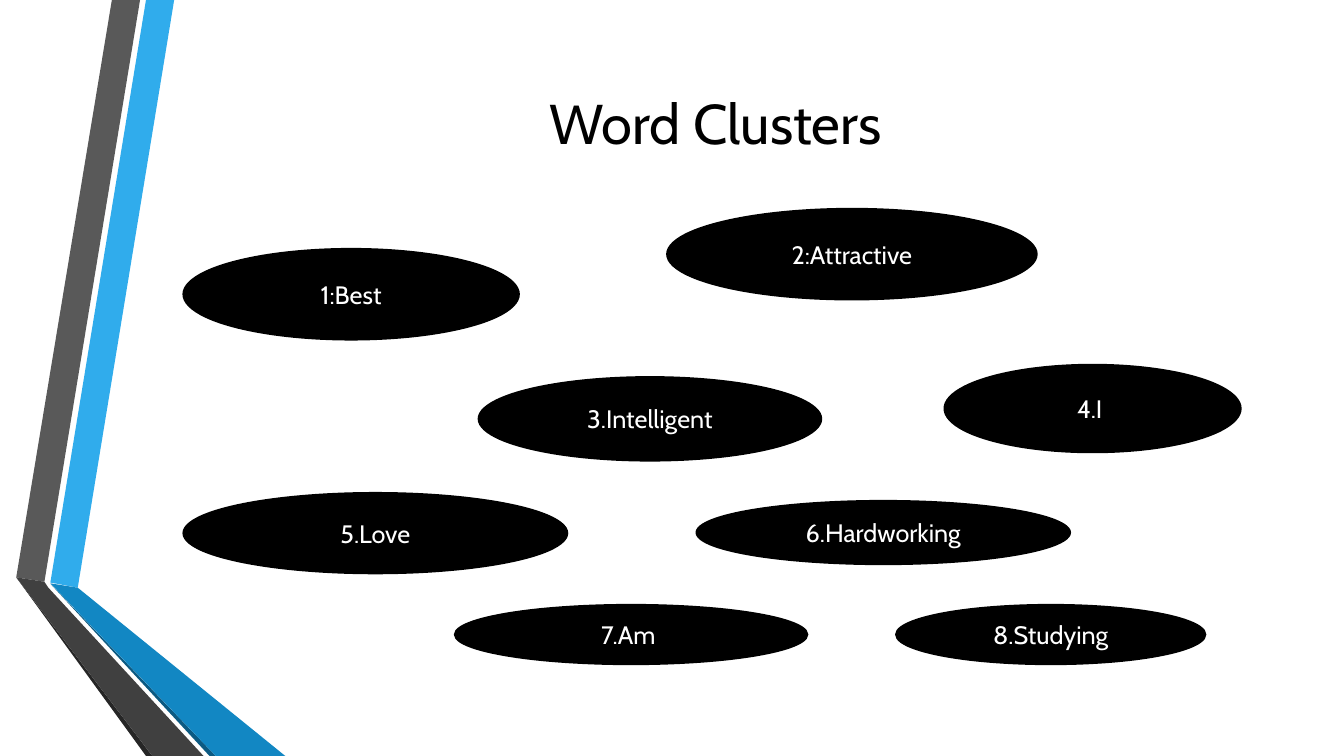
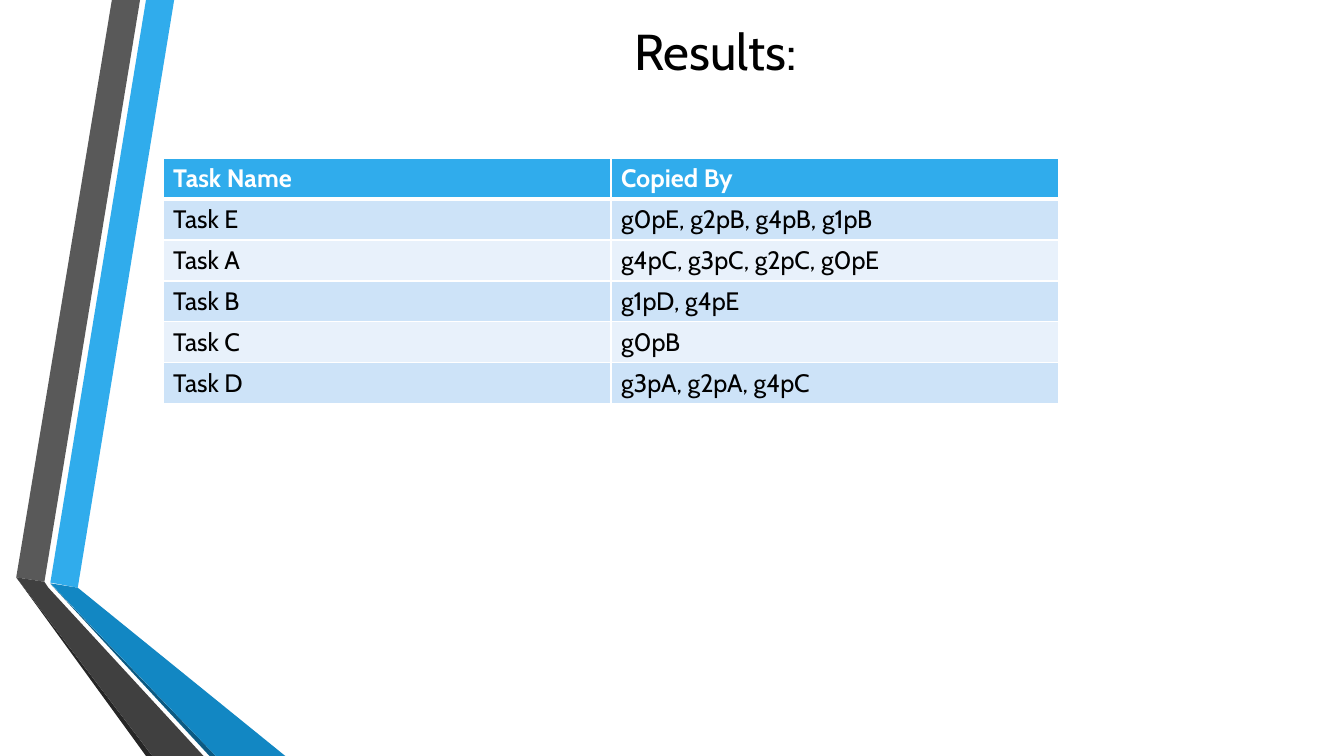
from lxml import etree
from pptx import Presentation
from pptx.dml.color import RGBColor
from pptx.enum.shapes import MSO_SHAPE
from pptx.enum.text import MSO_ANCHOR, MSO_AUTO_SIZE, PP_ALIGN
from pptx.oxml.ns import qn
from pptx.util import Cm, Pt

ELLIPSE = MSO_SHAPE.OVAL
CENTER = PP_ALIGN.CENTER
MIDDLE = MSO_ANCHOR.MIDDLE
NO_AUTOFIT = MSO_AUTO_SIZE.NONE
TITLE_ONLY = 5

FONT = "Cabin"
BLACK, WHITE, SKY = "000000", "FFFFFF", "30ACEC"
ROW_FILLS = ("CDE3F8", "E8F1FB")

# Folded ribbons at the left edge: fill and corner points in cm
RIBBONS = [
    (SKY, [(1.27, 14.68), (1.96, 14.81), (4.39, 0), (3.68, 0)]),
    ("595959", [(3.53, 0), (2.82, 0), (0.41, 14.55), (1.12, 14.66)]),
    ("262626", [(0.41, 14.55), (3.68, 19.05), (3.84, 19.05)]),
    ("0C5A82", [(1.27, 14.71), (5.28, 19.05), (5.44, 19.05)]),
    ("1287C3", [(1.27, 14.7), (5.44, 19.05), (7.19, 19.05), (1.96, 14.81)]),
    ("404040", [(5.13, 19.05), (1.22, 14.81), (1.12, 14.66),
                (0.41, 14.55), (3.84, 19.05)]),
]

# Word, left, top, width and height in cm
WORDS = [
    ("1:Best", 4.62, 6.27, 8.46, 2.29),
    ("2:Attractive", 16.81, 5.26, 9.32, 2.29),
    ("3.Intelligent", 12.06, 9.5, 8.64, 2.11),
    ("4.I ", 23.8, 9.19, 7.47, 2.21),
    ("5.Love", 4.62, 12.42, 9.68, 2.03),
    ("6.Hardworking", 17.55, 12.62, 9.42, 1.6),
    ("7.Am ", 11.46, 15.24, 8.89, 1.5),
    ("8.Studying", 22.58, 15.24, 7.8, 1.5),
]

RESULTS = [
    ("Task Name", "Copied By"),
    ("Task E", "g0pE, g2pB, g4pB, g1pB"),
    ("Task A", "g4pC, g3pC, g2pC, g0pE"),
    ("Task B", "g1pD, g4pE"),
    ("Task C", "g0pB"),
    ("Task D", "g3pA, g2pA, g4pC"),
]


def paint(color_format, color):
    color_format.rgb = RGBColor.from_string(color)


def fill(target, color):
    target.fill.solid()
    paint(target.fill.fore_color, color)


class Deck:
    def __init__(self):
        self.deck = Presentation()
        self.deck.slide_width, self.deck.slide_height = Cm(33.87), Cm(19.05)
        self.layout = self.deck.slide_layouts[TITLE_ONLY]
        self.page = None

    def add_page(self, title, top, size):
        self.page = self.deck.slides.add_slide(self.layout)
        box = self.page.shapes.title
        box.left, box.top, box.width, box.height = (
            Cm(4.11), Cm(top), Cm(27.84), Cm(2.34))
        self.set_text(box.text_frame, title, size, BLACK, align=CENTER)
        box.text_frame.auto_size = NO_AUTOFIT
        box.text_frame.vertical_anchor = MIDDLE

    def set_text(self, frame, text, size, color, bold=False, align=None):
        frame.text = text
        for para in frame.paragraphs:
            para.alignment = align
            for span in para.runs:
                span.font.name, span.font.size = FONT, Pt(size)
                span.font.bold = bold
                paint(span.font.color, color)

    def share_ribbons(self):
        """Draw the ribbons on the page, then move them to its layout."""
        for color, points in RIBBONS:
            corners = [(Cm(x), Cm(y)) for x, y in points]
            builder = self.page.shapes.build_freeform(*corners[0])
            builder.add_line_segments(corners[1:], close=True)
            ribbon = builder.convert_to_shape()
            ribbon.shadow.inherit = False
            fill(ribbon, color)
            ribbon.line.fill.background()
            self.layout.shapes.element.append(ribbon.element)

    def add_oval(self, text, left, top, width, height):
        oval = self.page.shapes.add_shape(
            ELLIPSE, Cm(left), Cm(top), Cm(width), Cm(height))
        oval.shadow.inherit = False
        fill(oval, BLACK)
        paint(oval.line.color, BLACK)
        oval.line.width = Pt(1.25)
        oval.text_frame.vertical_anchor = MIDDLE
        self.set_text(oval.text_frame, text, 18, WHITE, align=CENTER)

    def add_table(self, rows, left, top, column_width, row_height):
        columns = len(rows[0])
        table = self.page.shapes.add_table(
            len(rows), columns, Cm(left), Cm(top),
            Cm(column_width * columns), Cm(row_height * len(rows))).table
        table.horz_banding = False
        for r, texts in enumerate(rows):
            header = r == 0
            for c, text in enumerate(texts):
                cell = table.cell(r, c)
                self.set_text(cell.text_frame, text, 18,
                              WHITE if header else BLACK, bold=header)
                self.add_borders(cell, top=3 if r == 1 else 1,
                                 bottom=3 if header else 1)
                fill(cell, SKY if header else ROW_FILLS[(r - 1) % 2])

    def add_borders(self, cell, top, bottom):
        properties = cell._tc.get_or_add_tcPr()
        widths = {"a:lnL": 1, "a:lnR": 1, "a:lnT": top, "a:lnB": bottom}
        for tag, width in widths.items():
            line = etree.SubElement(properties, qn(tag), w=str(Pt(width)))
            solid = etree.SubElement(line, qn("a:solidFill"))
            etree.SubElement(solid, qn("a:srgbClr"), val=WHITE)


def main():
    deck = Deck()

    # Word clusters
    deck.add_page("Word Clusters", top=1.9, size=40)
    deck.share_ribbons()
    for word in WORDS:
        deck.add_oval(*word)

    # Results table
    deck.add_page("Results:", top=0.1, size=36)
    deck.add_table(RESULTS, left=4.11, top=3.99,
                   column_width=11.29, row_height=1.03)

    deck.deck.save("out.pptx")


if __name__ == "__main__":
    main()
